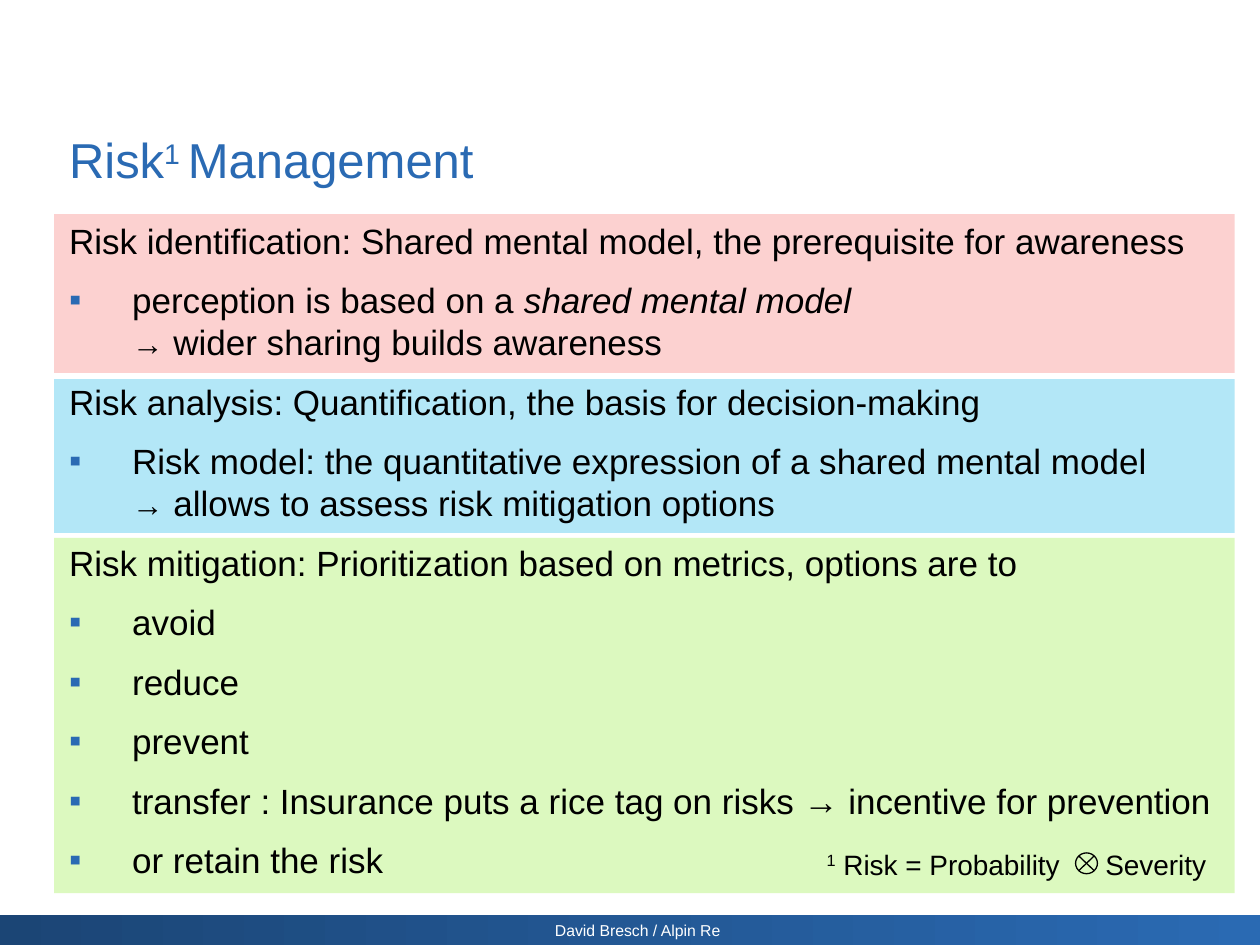
from lxml.etree import SubElement
from pptx import Presentation
from pptx.dml.color import RGBColor
from pptx.enum.shapes import MSO_SHAPE
from pptx.enum.text import MSO_ANCHOR, PP_ALIGN
from pptx.oxml.ns import qn
from pptx.util import Pt

BLUE, BLACK, WHITE = "2A6AB3", "000000", "FFFFFF"
INDENT = 36

BANDS = [  # top, height, colour
    (122.4, 90.7, "FCD1D0"),
    (216.7, 87.8, "B3E7F7"),
    (307.4, 203, "DCF9BF"),
]

ARROW = ("→", {"size": 18})
CONTENT = [  # bulleted, runs
    (False, ["Risk identification: Shared mental model, the prerequisite for awareness"]),
    (True, ["perception is based on a ", ("shared mental model ", {"italic": True}),
            "\n", ARROW, " wider sharing builds awareness"]),
    (False, ["Risk analysis: Quantification, the basis for decision-making"]),
    (True, ["Risk model: the quantitative expression of a shared mental model ",
            "\n", ARROW, " allows to assess risk mitigation options"]),
    (False, ["Risk mitigation: Prioritization based on metrics, options are to"]),
    (True, ["avoid"]),
    (True, ["reduce"]),
    (True, ["prevent"]),
    (True, ["transfer : Insurance puts a rice tag on risks → incentive for prevention"]),
    (True, ["or retain the risk"]),
]


def rgb(value):
    return RGBColor.from_string(value)


def add_shape(s, kind, x, y, w, h, fill=None, line=None):
    sp = s.shapes.add_shape(kind, Pt(x), Pt(y), Pt(w), Pt(h))
    sp.shadow.inherit = False
    if fill:
        sp.fill.solid()
        sp.fill.fore_color.rgb = rgb(fill)
    else:
        sp.fill.background()
    if line:
        sp.line.color.rgb = rgb(line)
        sp.line.width = Pt(0.75)
    else:
        sp.line.fill.background()
    return sp


def add_box(s, x, y, w, h, anchor=MSO_ANCHOR.TOP, inset=True):
    tf = s.shapes.add_textbox(Pt(x), Pt(y), Pt(w), Pt(h)).text_frame
    tf.word_wrap = True
    tf.vertical_anchor = anchor
    if not inset:
        tf.margin_left = tf.margin_right = tf.margin_top = tf.margin_bottom = 0
    return tf


def add_text(p, text, size=20, color=BLACK, italic=False, raised=False):
    r = p.add_run()
    r.text = text
    r.font.name = "Arial"
    r.font.size = Pt(size)
    r.font.color.rgb = rgb(color)
    r.font.italic = italic
    if raised:
        r.font._element.set("baseline", "30000")


def set_indent(p, bulleted):
    pPr = p._p.get_or_add_pPr()
    pPr.set("marL", str(Pt(INDENT)))
    pPr.set("indent", str(-Pt(INDENT)))
    if bulleted:
        color = SubElement(pPr, qn("a:buClr"))
        SubElement(color, qn("a:srgbClr"), val=BLUE)
        SubElement(pPr, qn("a:buFont"), typeface="Arial")
        SubElement(pPr, qn("a:buChar"), char="▪")
    else:
        SubElement(pPr, qn("a:buNone"))


def add_tab(p, pos):
    tabs = SubElement(p._p.get_or_add_pPr(), qn("a:tabLst"))
    SubElement(tabs, qn("a:tab"), pos=str(Pt(pos)), algn="l")


def add_footer(s):
    bar = add_shape(s, MSO_SHAPE.RECTANGLE, 0, 522.7, 720, 17.3)
    bar.fill.gradient()
    bar.fill.gradient_angle = 0
    for stop, color in zip(bar.fill.gradient_stops, ("1B4575", BLUE)):
        stop.color.rgb = rgb(color)
    tf = add_box(s, 167.8, 522.7, 393.1, 18, MSO_ANCHOR.MIDDLE)
    p = tf.paragraphs[0]
    p.alignment = PP_ALIGN.CENTER
    add_text(p, "David Bresch / Alpin Re", size=9, color=WHITE)


def add_title(s):
    p = add_box(s, 32.4, 66.2, 635.8, 49.7).paragraphs[0]
    p.line_spacing = Pt(38)
    for text, raised in (("Risk", False), ("1 ", True), ("Management", False)):
        add_text(p, text, size=28, color=BLUE, raised=raised)


def add_content(s):
    tf = add_box(s, 32.4, 121.7, 673.2, 388.8)
    for i, (bulleted, runs) in enumerate(CONTENT):
        p = tf.add_paragraph() if i else tf.paragraphs[0]
        p.space_after = Pt(10)
        set_indent(p, bulleted)
        for run in runs:
            if run == "\n":
                p.add_line_break()
                continue
            text, fmt = (run, {}) if isinstance(run, str) else run
            add_text(p, text, **fmt)


def add_footnote(s):
    p = add_box(s, 472.4, 484.2, 226, 19, inset=False).paragraphs[0]
    add_tab(p, 159.2)  # leaves room for the operator symbol
    add_text(p, "1", size=16, raised=True)
    add_text(p, " Risk = Probability\tSeverity", size=16)
    add_shape(s, MSO_SHAPE.FLOWCHART_SUMMING_JUNCTION,
              614.6, 487.4, 12.5, 11.9, line=BLACK)


def main():
    prs = Presentation()
    prs.slide_width, prs.slide_height = Pt(720), Pt(540)
    s = prs.slides.add_slide(prs.slide_layouts[6])
    # Footer bar
    add_footer(s)
    # Coloured bands behind the three stages
    for top, height, color in BANDS:
        add_shape(s, MSO_SHAPE.RECTANGLE, 31, top, 674.6, height, fill=color)
    # Text
    add_title(s)
    add_content(s)
    add_footnote(s)
    prs.save("out.pptx")


if __name__ == "__main__":
    main()
